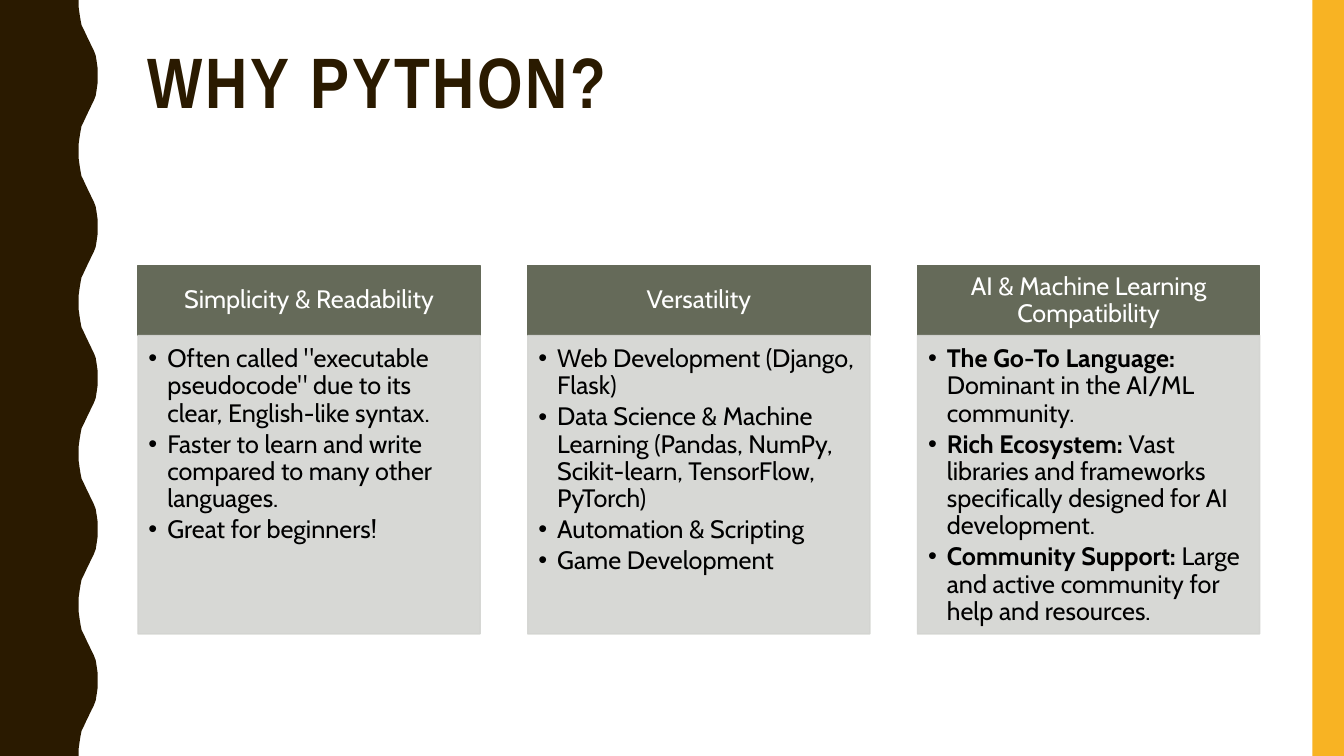
from lxml.etree import SubElement
from pptx import Presentation
from pptx.dml.color import RGBColor
from pptx.enum.shapes import MSO_SHAPE as Shape
from pptx.enum.text import MSO_ANCHOR as Anchor, PP_ALIGN as Align
from pptx.oxml.ns import qn
from pptx.util import Pt

COLORS = {"brown": "2A1A00", "gold": "F8B323", "olive": "656A59",
          "gray": "D3D4D1", "white": "FFFFFF", "black": "000000"}

CARDS = [
    ("Simplicity & Readability", [
        ("", 'Often called "executable pseudocode" due to its clear, English-like syntax.'),
        ("", "Faster to learn and write compared to many other languages."),
        ("", "Great for beginners!")]),
    ("Versatility", [
        ("", "Web Development (Django, Flask)"),
        ("", "Data Science & Machine Learning (Pandas, NumPy, Scikit-learn, TensorFlow, PyTorch)"),
        ("", "Automation & Scripting"),
        ("", "Game Development")]),
    ("AI & Machine Learning Compatibility", [
        ("The Go-To Language:", " Dominant in the AI/ML community."),
        ("Rich Ecosystem:", " Vast libraries and frameworks specifically designed for AI development."),
        ("Community Support:", " Large and active community for help and resources.")]),
]


def paint(box, color, alpha=None):
    box.shadow.inherit = False
    for fill in (box.fill, box.line.fill):
        fill.solid()
        fill.fore_color.rgb = RGBColor.from_string(COLORS[color])
    box.line.width = Pt(1)
    if alpha:
        for tint in box._element.spPr.iter(qn("a:srgbClr")):
            SubElement(tint, qn("a:alpha"), val=str(alpha * 1000))


def style(span, font, size, color, bold=False):
    span.font.name = font
    span.font.size = Pt(size)
    span.font.bold = bold
    span.font.color.rgb = RGBColor.from_string(COLORS[color])


deck = Presentation()
deck.slide_width, deck.slide_height = Pt(960), Pt(540)
page = deck.slides.add_slide(deck.slide_layouts[6])

rise = [(56.2, 0), (56.2, 5), (56.9, 10), (57.6, 14.4), (58.3, 18), (59.8, 21),
        (61.2, 24), (62.6, 27), (64.1, 30), (65.5, 33), (67, 36), (68.4, 39.6),
        (69.1, 44), (69.8, 49), (69.8, 54)]
wave = rise + [(x, 108 - y) for x, y in reversed(rise[:-1])]
edge = [(Pt(x), Pt(y + 108 * turn)) for turn in range(5) for x, y in wave]
outline = page.shapes.build_freeform(0, 0)
outline.add_line_segments(edge + [(0, Pt(540))], close=True)
border = outline.convert_to_shape()
paint(border, "brown")
border.line.fill.background()

stripe = page.shapes.add_shape(Shape.RECTANGLE, Pt(937.5), 0, Pt(22.5), Pt(540))
paint(stripe, "gold")
stripe.line.fill.background()

title = page.shapes.add_textbox(Pt(98.6), Pt(30.2), Pt(801.4), Pt(117.4))
title.text_frame.word_wrap = True
title.text_frame.text = "WHY PYTHON?"
para = title.text_frame.paragraphs[0]
para.line_spacing = 0.9
style(para.runs[0], "Arial Narrow", 51, "brown", True)
para.runs[0].font._element.set("spc", "200")

for column, (heading, points) in enumerate(CARDS):
    left = Pt(98.6 + 278.4 * column)

    header = page.shapes.add_shape(Shape.RECTANGLE, left, Pt(189.8), Pt(244.4), Pt(49.8))
    paint(header, "olive")
    frame = header.text_frame
    frame.word_wrap = True
    frame.vertical_anchor = Anchor.MIDDLE
    frame.margin_left = frame.margin_right = Pt(10)
    frame.margin_top = frame.margin_bottom = Pt(5.7)
    frame.text = heading
    para = frame.paragraphs[0]
    para.alignment = Align.CENTER
    para.line_spacing = 0.9
    style(para.runs[0], "Cabin", 18, "white")

    body = page.shapes.add_shape(Shape.RECTANGLE, left, Pt(239.6), Pt(244.4), Pt(213.2))
    paint(body, "gray", 90)
    frame = body.text_frame
    frame.word_wrap = True
    frame.vertical_anchor = Anchor.TOP
    frame.margin_left = frame.margin_top = Pt(7.5)
    frame.margin_right, frame.margin_bottom = Pt(10), Pt(11.3)
    for index, (lead, detail) in enumerate(points):
        para = frame.add_paragraph() if index else frame.paragraphs[0]
        para.alignment = Align.LEFT
        para.line_spacing = 0.9
        para.space_after = Pt(2.7)
        layout = para._p.get_or_add_pPr()
        layout.set("marL", str(Pt(13.5)))
        layout.set("indent", str(-Pt(13.5)))
        SubElement(layout, qn("a:buFont"), typeface="Arial")
        SubElement(layout, qn("a:buChar"), char="•")
        for words, bold in ((lead, True), (detail, False)):
            if words:
                span = para.add_run()
                span.text = words
                style(span, "Cabin", 18, "black", bold)

deck.save("out.pptx")
